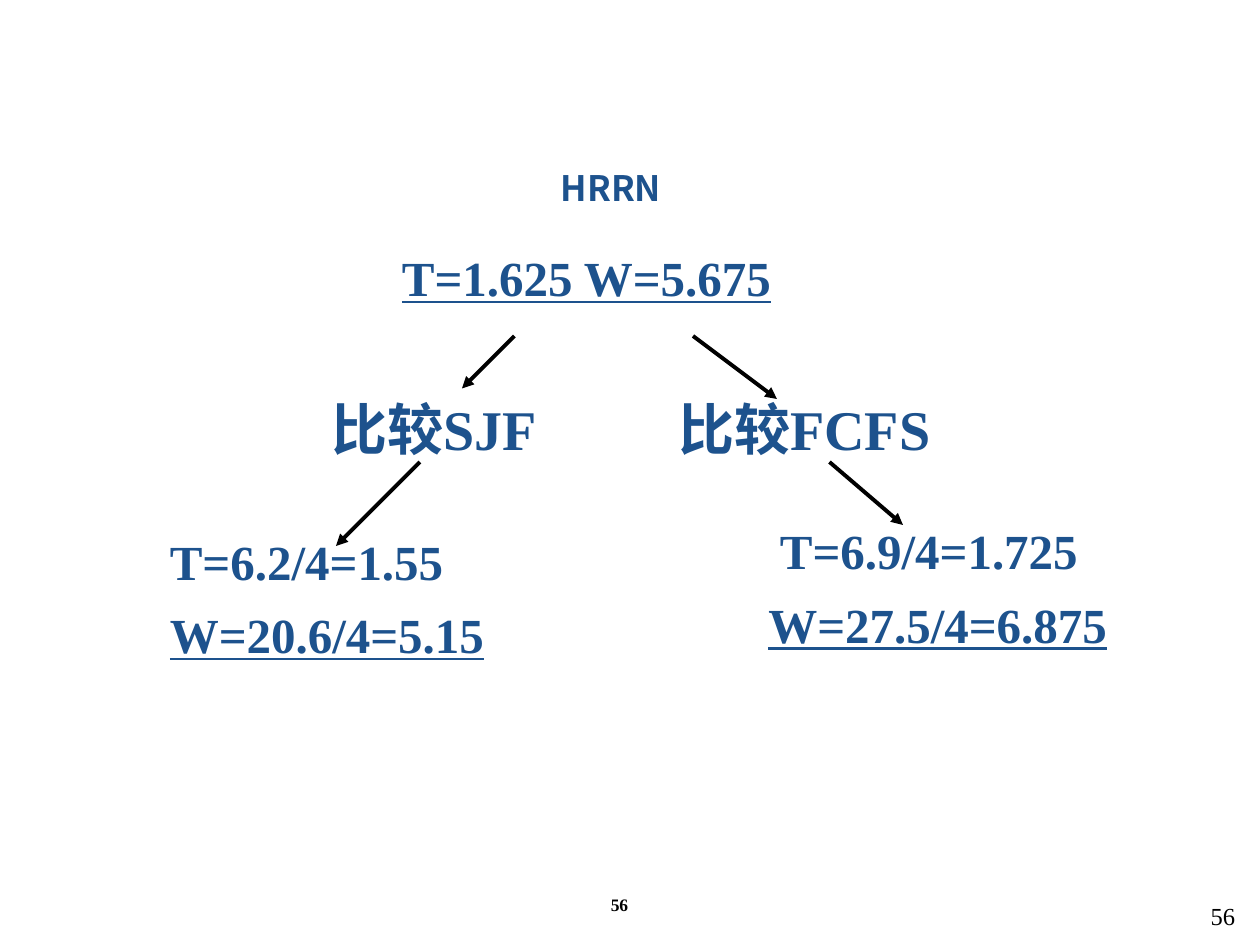
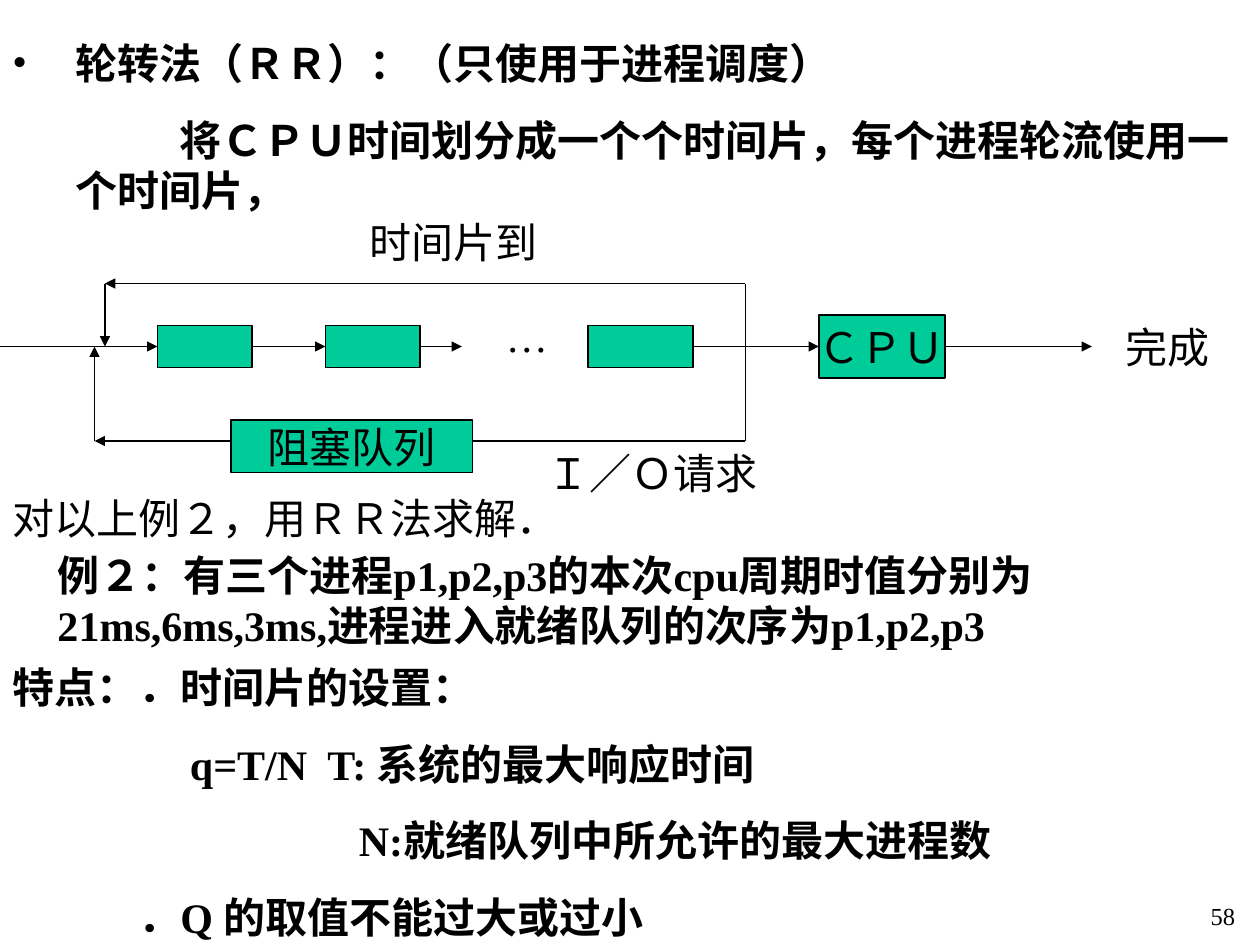
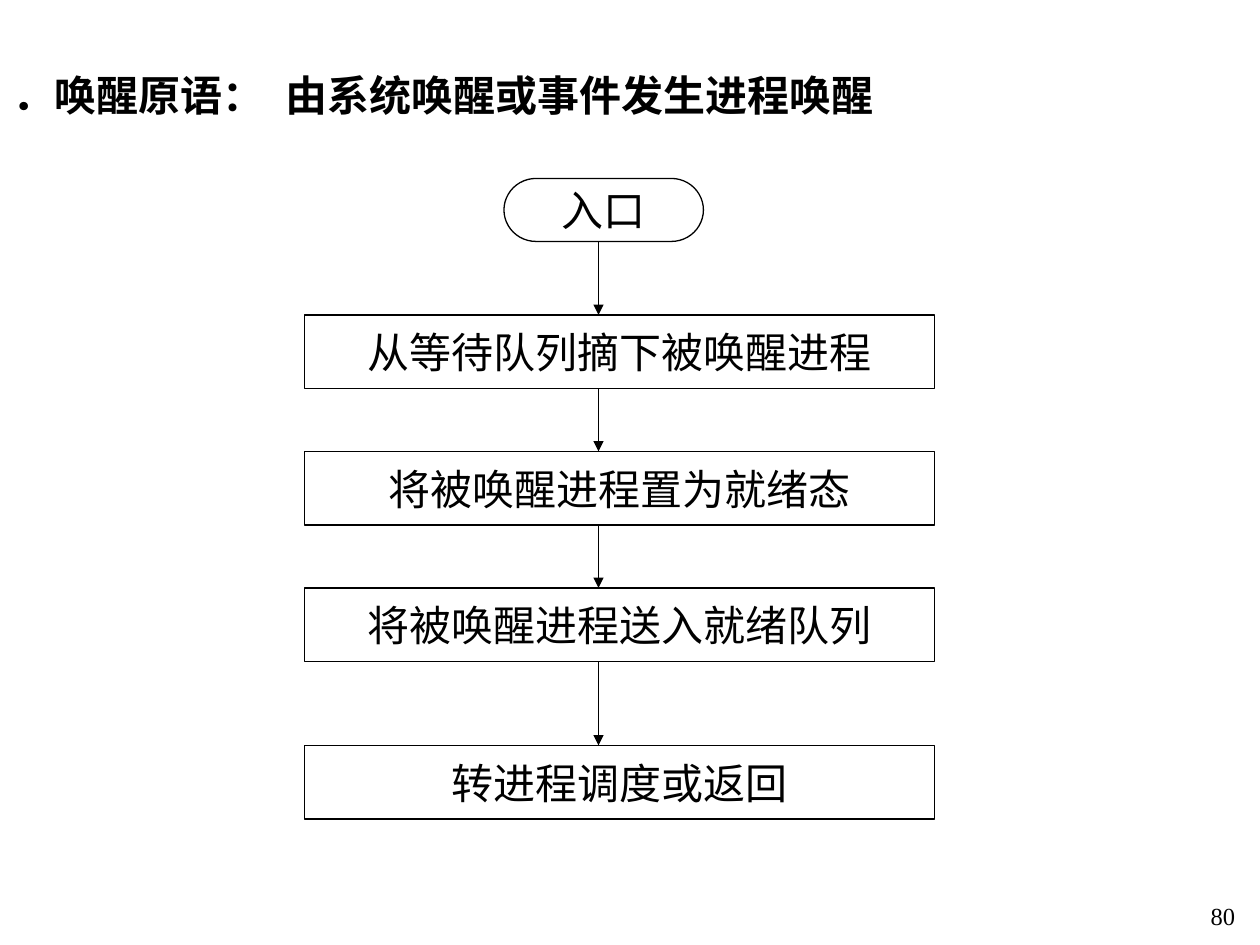
import itertools

import pptx
import pptx.dml.color
import pptx.enum.shapes
import pptx.enum.text
import pptx.oxml
import pptx.oxml.ns
import pptx.util

COLUMNS, ROWS = 120, 90
CELL = pptx.util.Inches(10) // COLUMNS
BLACK, WHITE, BLUE, GREEN = "000000", "FFFFFF", "1D528D", "00CC99"
LATIN, CHINESE = "Times New Roman", "Noto Sans CJK SC"
EM_SPACE, EN_SPACE = " ", " "
TITLE_ONLY, BLANK = 5, 6
ALIGN = pptx.enum.text.PP_ALIGN
SHAPE = pptx.enum.shapes.MSO_SHAPE
NS = pptx.oxml.ns.nsdecls("a")


def cells(*values):
    """Convert grid cells to lengths."""
    return [round(value * CELL) for value in values]


def color(hex_string):
    return pptx.dml.color.RGBColor.from_string(hex_string)


def add_xml(parent, xml):
    parent.append(pptx.oxml.parse_xml(xml))


def write(frame, text, size=24, bold=False, underline=False, fill=BLACK,
          font=LATIN, align=ALIGN.LEFT, margin=0, indent=0, before=0,
          bullet=None):
    """Write one paragraph after those already in the frame."""
    paragraph = frame.paragraphs[0]
    if paragraph.runs:
        paragraph = frame.add_paragraph()
    paragraph.alignment = align
    paragraph.space_before = pptx.util.Pt(before)
    properties = paragraph._p.get_or_add_pPr()
    properties.set("marL", str(pptx.util.Inches(margin)))
    properties.set("indent", str(pptx.util.Inches(indent)))
    if bullet:
        add_xml(properties, f'<a:buFont {NS} typeface="{LATIN}"/>')
        add_xml(properties, f'<a:buChar {NS} char="{bullet}"/>')
    else:
        add_xml(properties, f"<a:buNone {NS}/>")
    run = paragraph.add_run()
    run.text = text
    run.font.size = pptx.util.Pt(size)
    run.font.bold = bold
    run.font.underline = underline
    run.font.color.rgb = color(fill)
    run.font.name = font
    add_xml(run._r.get_or_add_rPr(), f'<a:ea {NS} typeface="{CHINESE}"/>')


def prepare_frame(shape):
    frame = shape.text_frame
    frame.word_wrap = True
    frame.auto_size = pptx.enum.text.MSO_AUTO_SIZE.NONE
    frame.vertical_anchor = pptx.enum.text.MSO_ANCHOR.TOP
    return frame


def add_text(slide, box, text=None, **style):
    frame = prepare_frame(slide.shapes.add_textbox(*cells(*box)))
    if text:
        write(frame, text, **style)
    return frame


def set_title(slide, box, text, **style):
    title = slide.shapes.title
    title.left, title.top, title.width, title.height = cells(*box)
    write(prepare_frame(title), text, bold=True, **style)


def add_block(slide, box, text=None, fill=GREEN, kind=SHAPE.RECTANGLE):
    shape = slide.shapes.add_shape(kind, *cells(*box))
    shape.shadow.inherit = False
    shape.fill.solid()
    shape.fill.fore_color.rgb = color(fill)
    shape.line.color.rgb = color(BLACK)
    shape.line.width = pptx.util.Pt(0.75)
    if text:
        shape.text_frame.word_wrap = False
        shape.text_frame.vertical_anchor = pptx.enum.text.MSO_ANCHOR.MIDDLE
        write(shape.text_frame, text, align=ALIGN.CENTER)


def add_line(slide, start, end, width=0.75, arrow=True):
    connector = slide.shapes.add_connector(
        pptx.enum.shapes.MSO_CONNECTOR.STRAIGHT, *cells(*start, *end))
    connector.line.color.rgb = color(BLACK)
    connector.line.width = pptx.util.Pt(width)
    if arrow:
        add_xml(connector.line._get_or_add_ln(), f'<a:tailEnd {NS} type="triangle"/>')
    add_xml(connector._element.spPr, f"<a:effectLst {NS}/>")


def add_loop(slide, points):
    """Draw a plain first segment, then arrows through the other points."""
    for index, (start, end) in enumerate(itertools.pairwise(points)):
        add_line(slide, start, end, arrow=index > 0)


def add_slide(presentation, layout, number):
    slide = presentation.slides.add_slide(presentation.slide_layouts[layout])
    add_text(slide, (112.32, 85.2, 6.5, 4.8), number, size=14, align=ALIGN.RIGHT)
    return slide


def build_comparison(presentation):
    slide = add_slide(presentation, TITLE_ONLY, "56")
    add_text(slide, (45, 84.6, 28, 3.4), "56", size=10, bold=True, align=ALIGN.CENTER)
    set_title(slide, (52.2, 15.24, 13, 5.3), "HRRN", size=20, fill=BLUE, font=CHINESE)
    add_text(slide, (37.1, 23, 42, 6.8), f"T=1.625{EM_SPACE}W=5.675", size=28,
             bold=True, underline=True, fill=BLUE)
    for left, text in ((30.4, "比较SJF"), (63.4, "比较FCFS")):
        add_text(slide, (left, 37, 30, 7.7), text, size=32, bold=True, fill=BLUE)
    for left, top, text, underline in (
            (15, 50, "T=6.2/4=1.55", False), (15, 57, "W=20.6/4=5.15", True),
            (73.1, 49, "T=6.9/4=1.725", False), (72, 56, "W=27.5/4=6.875", True)):
        add_text(slide, (left, top, 38, 6.8), text, size=28, bold=True,
                 underline=underline, fill=BLUE)
    for start, end in (((49, 32), (44, 37)), ((40, 44), (32, 52)),
                       ((66, 32), (74, 38)), ((79, 44), (86, 50))):
        add_line(slide, start, end, width=2.25)


def build_round_robin(presentation):
    slide = add_slide(presentation, BLANK, "58")
    intro = add_text(slide, (0, 3, COLUMNS, 18))
    write(intro, "轮转法（ＲＲ）：（只使用于进程调度）", bold=True, margin=0.5,
          indent=-0.5, bullet="•")
    write(intro, "将ＣＰＵ时间划分成一个个时间片，每个进程轮流使用一个时间片，",
          bold=True, margin=0.5, indent=0.83, before=15)

    queue_row, cpu_exit = 33, 71
    for left, width in ((15, 9), (31, 9), (56, 10)):
        add_block(slide, (left, queue_row - 2, width, 4))
    add_block(slide, (78, queue_row - 3, 12, 6), "ＣＰＵ")
    for start, end in ((0, 15), (24, 31), (40, 44), (66, 78), (90, 104)):
        add_line(slide, (start, queue_row), (end, queue_row))
    for row, entry in ((27, 10), (42, 9)):
        add_loop(slide, [(cpu_exit, queue_row), (cpu_exit, row),
                         (entry, row), (entry, queue_row)])
    add_block(slide, (22, 40, 23, 5), "阻塞队列")
    for box, text in (((47, 29, 5, 6), "…"), ((106, 30, 14, 6), "完成"),
                      ((34, 20, 21, 6), "时间片到"), ((51, 42, 23, 6), "Ｉ／Ｏ请求"),
                      ((0, 46.3, 115, 6), "对以上例２，用ＲＲ法求解．")):
        add_text(slide, box, text)

    add_text(slide, (4.3, 51.7, 113.3, 10.8),
             "例２：有三个进程p1,p2,p3的本次cpu周期时值分别为21ms,6ms,3ms,"
             "进程进入就绪队列的次序为p1,p2,p3", bold=True)
    features = add_text(slide, (0, 62.4, COLUMNS, 28))
    write(features, "特点：．时间片的设置：", bold=True)
    for text, indent in (
            (f"q=T/N{EM_SPACE}{EN_SPACE}T:{EN_SPACE}系统的最大响应时间", 1.41),
            ("N:就绪队列中所允许的最大进程数", 2.75),
            ("．Q 的取值不能过大或过小", 1)):
        write(features, text, bold=True, indent=indent, before=15)


def build_wakeup(presentation):
    slide = add_slide(presentation, TITLE_ONLY, "80")
    set_title(slide, (0, 6, 58, 6), "．唤醒原语：")
    add_text(slide, (26, 6, 76, 6), "由系统唤醒或事件发生进程唤醒", bold=True)
    add_block(slide, (48, 17, 19, 6), "入口", WHITE, SHAPE.FLOWCHART_TERMINATOR)
    bottom, height, arrow_column = 23, 7, 57
    for top, text in ((30, "从等待队列摘下被唤醒进程"), (43, "将被唤醒进程置为就绪态"),
                      (56, "将被唤醒进程送入就绪队列"), (71, "转进程调度或返回")):
        add_block(slide, (29, top, 60, height), text, WHITE)
        add_line(slide, (arrow_column, bottom), (arrow_column, top))
        bottom = top + height


def main():
    presentation = pptx.Presentation()
    presentation.slide_width, presentation.slide_height = cells(COLUMNS, ROWS)
    build_comparison(presentation)
    build_round_robin(presentation)
    build_wakeup(presentation)
    presentation.save("out.pptx")


if __name__ == "__main__":
    main()
